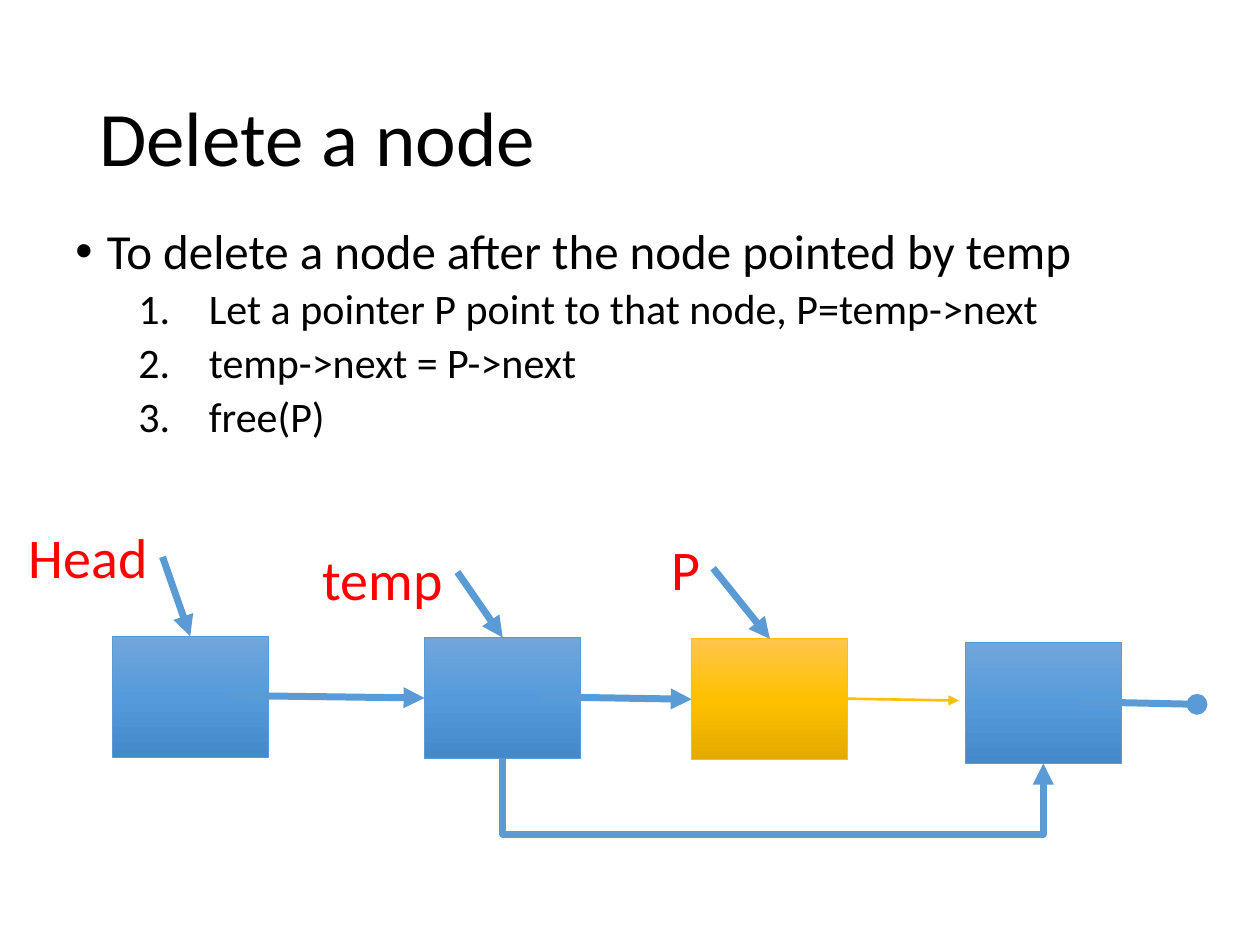
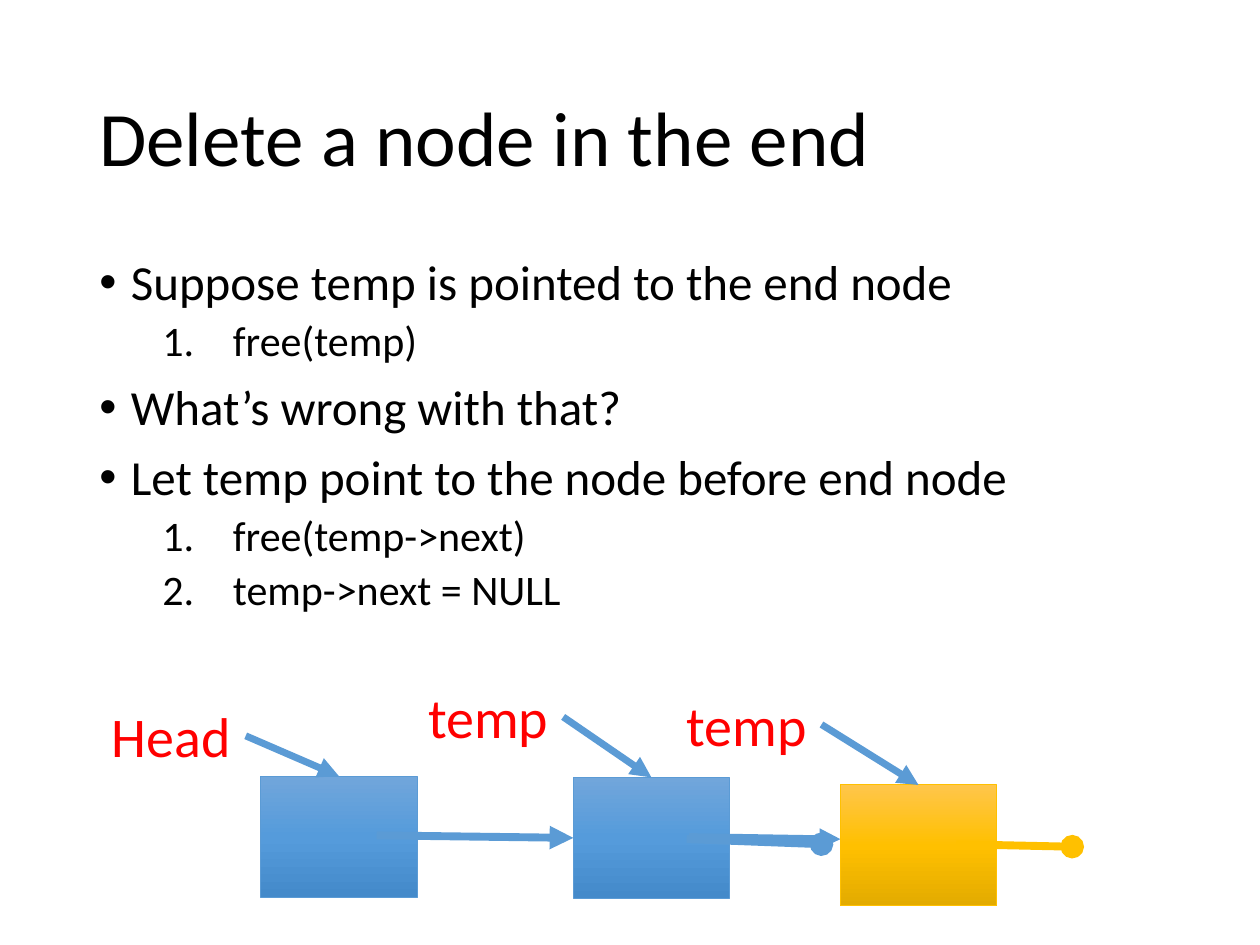
from lxml import etree
from pptx import Presentation
from pptx import util as u
from pptx.dml.color import RGBColor
from pptx.enum import shapes, text
from pptx.oxml.ns import qn

# Content: body lines are (level, text); nodes are
# (left, top, palette, link length, link width, link end);
# pointers are (label, left, top, width, arrow drop, index of target node)
SLIDES = [
    {
        "title": "Delete a node",
        "body_box": (0.5, 1.75, 9.5, 4.95),
        "body": [
            (0, "To delete a node after the node pointed by temp"),
            (1, "Let a pointer P point to that node, P=temp->next"),
            (1, "temp->next = P->next"),
            (1, "free(P)"),
        ],
        "nodes": [
            (0.89, 5.05, "kept", 1.56, 4, "triangle"),
            (3.37, 5.06, "kept", 1.2, 4, "triangle"),
            (5.49, 5.07, "deleted", 1.2, 1.5, "triangle"),
            (7.66, 5.1, "kept", 0.92, 4, "oval"),
        ],
        "pointers": [
            ("Head", 0.13, 4.1, 1.16, 0.32, 0),
            ("temp", 2.46, 4.27, 1.17, 0.27, 1),
            ("P", 5.23, 4.19, 0.43, 0.32, 2),
        ],
        "bypass": (1, 3),
    },
    {
        "title": "Delete a node in the end",
        "body_box": (0.69, 2, 8.62, 4.76),
        "body": [
            (0, "Suppose temp is pointed to the end node"),
            (1, "free(temp)"),
            (0, "What’s wrong with that?"),
            (0, "Let temp point to the node before end node"),
            (1, "free(temp->next)"),
            (1, "temp->next = NULL"),
        ],
        "nodes": [
            (2.07, 6.16, "kept", 1.56, 4.5, "triangle"),
            (4.55, 6.17, "kept", 1.2, 4, "triangle"),
            (6.67, 6.23, "deleted", 0.92, 4.5, "oval"),
        ],
        "pointers": [
            ("Head", 0.79, 5.52, 1.16, 0.32, 0),
            ("temp", 5.35, 5.43, 1.17, 0.32, 2),
            ("temp", 3.3, 5.37, 1.17, 0.32, 1),
        ],
        "null_link": ((5.45, 6.66), (6.52, 6.7)),
    },
]

THEME = {
    "font": "Calibri",
    "title": (44, "000000"),
    "body": [(28, "000000"), (24, "000000")],
    "label": (32, "FF0000"),
    "kept": {"line": "5B9BD5", "stops": ("71A6DB", "559BDB", "448ACA")},
    "deleted": {"line": "FFC000", "stops": ("FFC64B", "FFC000", "E3AB00")},
    "arrow": 4,
    "outline": 0.5,
}
LEVELS = [
    {"before": 10, "margin": 0.25, "hanging": -0.25, "bullet": ("a:buChar", {"char": "•"})},
    {"before": 5, "margin": 1.06, "hanging": -0.56, "bullet": ("a:buAutoNum", {"type": "arabicPeriod"})},
]
TITLE_BOX = (0.69, 0.4, 8.62, 1.45)
NODE_WIDTH, NODE_HEIGHT = 1.24, 0.96
LABEL_HEIGHT = 0.64
LINK_START, LINK_DROP = 0.92, 0.02
BYPASS_DEPTH = 0.6


def inches(values):
    return [u.Inches(value) for value in values]


def set_all(target, values):
    for name, value in values.items():
        setattr(target, name, value)


def add_xml(parent, tag, **attributes):
    return etree.SubElement(parent, qn(tag), attributes)


# Text
def add_text(slide, box, wrap=True, anchor=text.MSO_ANCHOR.TOP):
    frame = slide.shapes.add_textbox(*inches(box)).text_frame
    set_all(frame, {"word_wrap": wrap, "vertical_anchor": anchor})
    return frame


def write(paragraph, wording, style, **layout):
    size, color = style
    run = paragraph.add_run()
    run.text = wording
    set_all(run.font, {"name": THEME["font"], "size": u.Pt(size)})
    run.font.color.rgb = RGBColor.from_string(color)
    set_all(paragraph, layout)


def add_body(slide, box, lines):
    frame = add_text(slide, box)
    for index, (level, wording) in enumerate(lines):
        paragraph = frame.add_paragraph() if index else frame.paragraphs[0]
        rule = LEVELS[level]
        write(paragraph, wording, THEME["body"][level], level=level,
              line_spacing=0.9, space_before=u.Pt(rule["before"]))
        properties = paragraph._p.get_or_add_pPr()
        properties.set("marL", str(u.Inches(rule["margin"])))
        properties.set("indent", str(u.Inches(rule["hanging"])))
        tag, attributes = rule["bullet"]
        add_xml(properties, "a:buFont", typeface="Arial" if level == 0 else "+mj-lt")
        add_xml(properties, tag, **attributes)


# Lines and nodes
def add_arrow(slide, start, end, palette="kept", width=THEME["arrow"], tail="triangle",
              kind=shapes.MSO_CONNECTOR.STRAIGHT):
    connector = slide.shapes.add_connector(kind, *inches((*start, *end)))
    connector.line.color.rgb = RGBColor.from_string(THEME[palette]["line"])
    connector.line.width = u.Pt(width)
    add_xml(connector.line._get_or_add_ln(), "a:tailEnd", type=tail)
    add_xml(connector._element.spPr, "a:effectLst")
    return connector


def add_node(slide, left, top, palette, length, width, tail):
    shape = slide.shapes.add_shape(shapes.MSO_SHAPE.RECTANGLE,
                                   *inches((left, top, NODE_WIDTH, NODE_HEIGHT)))
    shape.shadow.inherit = False
    shape.fill.gradient()
    shape.fill.gradient_angle = 270
    stops = shape._element.spPr.find(".//" + qn("a:gsLst"))
    for stop in list(stops):
        stops.remove(stop)
    for index, color in enumerate(THEME[palette]["stops"]):
        stop = add_xml(stops, "a:gs", pos=str(index * 50000))
        add_xml(stop, "a:srgbClr", val=color)
    shape.line.color.rgb = RGBColor.from_string(THEME[palette]["line"])
    shape.line.width = u.Pt(THEME["outline"])

    x, y = left + LINK_START, top + NODE_HEIGHT / 2 - LINK_DROP / 2
    add_arrow(slide, (x, y), (x + length, y + LINK_DROP), palette, width, tail)


def add_pointer(slide, nodes, label, left, top, width, drop, target):
    frame = add_text(slide, (left, top, width, LABEL_HEIGHT), wrap=False)
    write(frame.paragraphs[0], label, THEME["label"])
    node_left, node_top = nodes[target][:2]
    add_arrow(slide, (left + width, top + drop), (node_left + NODE_WIDTH / 2, node_top))


def add_bypass(slide, source, target):
    """Elbow below the nodes: a sideways connector turned by 270 degrees."""
    x1, x2 = (node[0] + NODE_WIDTH / 2 for node in (source, target))
    y1, y2 = (node[1] + NODE_HEIGHT for node in (source, target))
    middle_x, middle_y = (x1 + x2) / 2, (y1 + y2) / 2
    half_span, half_rise = (x2 - x1) / 2, (y2 - y1) / 2
    connector = add_arrow(slide, (middle_x + half_rise, middle_y - half_span),
                          (middle_x - half_rise, middle_y + half_span),
                          kind=shapes.MSO_CONNECTOR.ELBOW)
    properties = connector._element.spPr
    properties.find(qn("a:xfrm")).set("rot", str(270 * 60000))
    bend = round(BYPASS_DEPTH / (y2 - y1) * 100000)
    adjustments = properties.find(".//" + qn("a:avLst"))
    add_xml(adjustments, "a:gd", name="adj1", fmla=f"val {bend}")


def build_slide(presentation, content):
    slide = presentation.slides.add_slide(presentation.slide_layouts[6])
    title = add_text(slide, TITLE_BOX, anchor=text.MSO_ANCHOR.MIDDLE)
    write(title.paragraphs[0], content["title"], THEME["title"], line_spacing=0.9)
    add_body(slide, content["body_box"], content["body"])

    nodes = content["nodes"]
    for node in nodes:
        add_node(slide, *node)
    for pointer in content["pointers"]:
        add_pointer(slide, nodes, *pointer)
    if "bypass" in content:
        add_bypass(slide, *(nodes[index] for index in content["bypass"]))
    if "null_link" in content:
        add_arrow(slide, *content["null_link"], width=4.5, tail="oval")


def main():
    presentation = Presentation()
    set_all(presentation, {"slide_width": u.Inches(10), "slide_height": u.Inches(7.5)})
    for content in SLIDES:
        build_slide(presentation, content)
    presentation.save("out.pptx")


if __name__ == "__main__":
    main()
